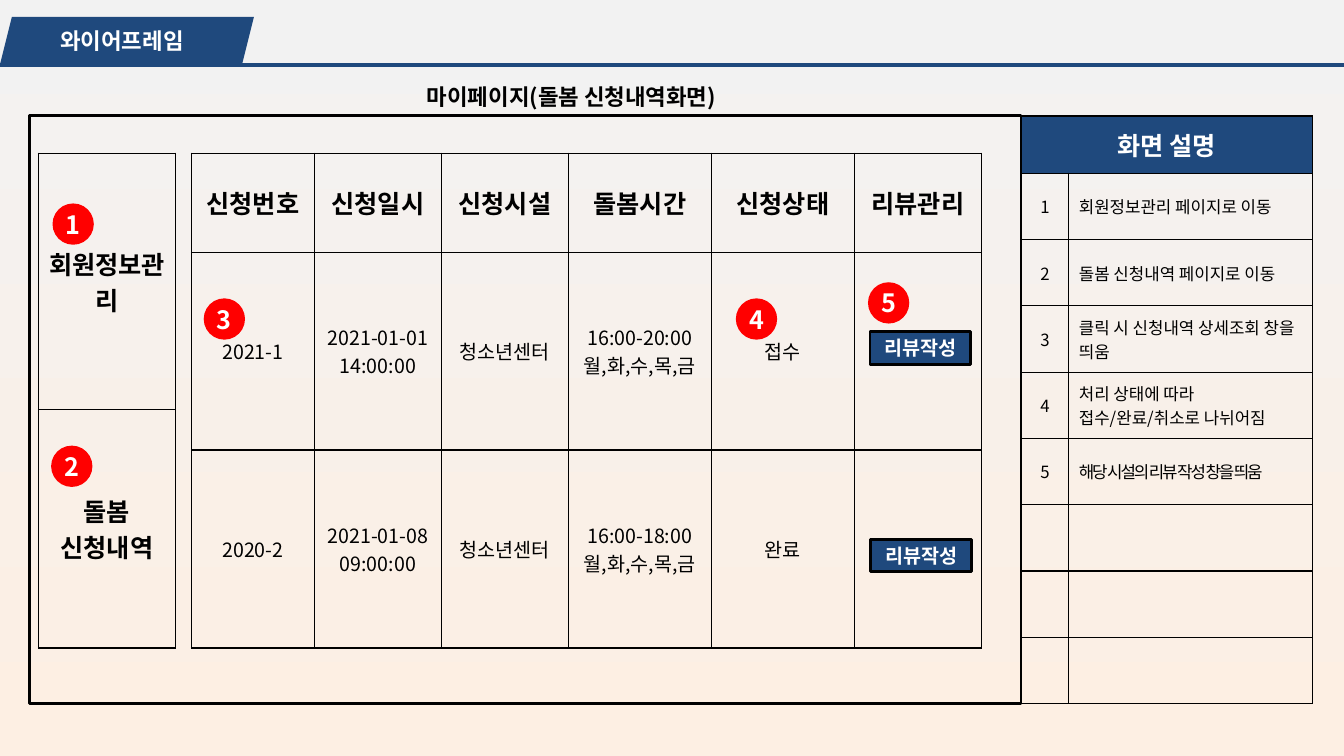
"""Build the wireframe slide for the care application history page."""
import pptx
import pptx.dml.color
import pptx.enum.shapes
import pptx.enum.text
import pptx.oxml.ns
import pptx.util
import lxml.etree

FONT = "Noto Sans CJK KR"
NAVY, RED, BLACK, WHITE = "1F497D", "FF0000", "000000", "FFFFFF"
Pt = pptx.util.Pt
qn = pptx.oxml.ns.qn
rgb = pptx.dml.color.RGBColor.from_string
Shape = pptx.enum.shapes.MSO_SHAPE
Align = pptx.enum.text.PP_ALIGN
MIDDLE = pptx.enum.text.MSO_ANCHOR.MIDDLE


def write_text(frame, text, size, color, bold, alignment=Align.CENTER, spacing=None):
    """Write one paragraph per line of text."""
    for index, line in enumerate(text.split("\n")):
        paragraph = frame.add_paragraph() if index else frame.paragraphs[0]
        paragraph.alignment = alignment
        run = paragraph.add_run()
        run.text = line
        run.font.size = Pt(size)
        run.font.bold = bold
        run.font.name = FONT
        run.font.color.rgb = rgb(color)
        properties = run.font._element
        lxml.etree.SubElement(properties, qn("a:ea")).set("typeface", FONT)
        if spacing:
            properties.set("spc", str(round(spacing * 100)))


def add_grid(left, top, column_widths, row_heights):
    """Add an unfilled table with thin black borders."""
    table = slide.shapes.add_table(
        len(row_heights), len(column_widths), Pt(left), Pt(top),
        Pt(sum(column_widths)), Pt(sum(row_heights))).table
    table.first_row = table.horz_banding = False
    for column, width in zip(table.columns, column_widths):
        column.width = Pt(width)
    for row, height in zip(table.rows, row_heights):
        row.height = Pt(height)
    for cell in table.iter_cells():
        cell.vertical_anchor = MIDDLE
        properties = cell._tc.get_or_add_tcPr()
        for side in ("a:lnL", "a:lnR", "a:lnT", "a:lnB"):
            border = lxml.etree.SubElement(properties, qn(side), w=str(Pt(1)))
            fill = lxml.etree.SubElement(border, qn("a:solidFill"))
            lxml.etree.SubElement(fill, qn("a:srgbClr"), val=BLACK)
        cell.fill.background()
    return table


presentation = pptx.Presentation()
presentation.slide_width = Pt(960)
presentation.slide_height = Pt(540)
slide = presentation.slides.add_slide(presentation.slide_layouts[6])

background = slide.background.fill
background.gradient()
background.gradient_angle = 270
for stop, color in zip(background.gradient_stops, ("F2F2F2", "FDEFE3")):
    stop.color.rgb = rgb(color)

header_line = slide.shapes.add_connector(
    pptx.enum.shapes.MSO_CONNECTOR.STRAIGHT, Pt(960), Pt(46.6), Pt(0), Pt(46.6))
header_line.line.color.rgb = rgb(NAVY)
header_line.line.width = Pt(3)
lxml.etree.SubElement(header_line._element.spPr, qn("a:effectLst"))

description = add_grid(729.4, 82.8, [34, 174], [41] + [47.35] * 8)
heading = description.cell(0, 0)
heading.merge(description.cell(0, 1))
heading.fill.solid()
heading.fill.fore_color.rgb = rgb(NAVY)
write_text(heading.text_frame, "화면 설명", 18, WHITE, True)
notes = [
    ("회원정보관리 페이지로 이동", None),
    ("돌봄 신청내역 페이지로 이동", None),
    ("클릭 시 신청내역 상세조회 창을 띄움", None),
    ("처리 상태에 따라 접수/완료/취소로 나뉘어짐", None),
    ("해당 시설의 리뷰 작성 창을 띄움", -1.5),
]
for number, (note, spacing) in enumerate(notes, 1):
    write_text(description.cell(number, 0).text_frame, str(number), 12, BLACK, False)
    write_text(description.cell(number, 1).text_frame, note, 12, BLACK, False,
               Align.LEFT, spacing)

menu = add_grid(27.4, 109.4, [98], [183, 170.5])
for row, label in enumerate(("회원정보관리", "돌봄 신청내역")):
    write_text(menu.cell(row, 0).text_frame, label, 18, BLACK, True)

history = add_grid(136.8, 109.4, [87.8, 90.7, 90.7, 102.2, 102.2, 90.7],
                   [70.7, 141.4, 141.4])
applications = [
    ["신청번호", "신청일시", "신청시설", "돌봄시간", "신청상태", "리뷰관리"],
    ["2021-1", "2021-01-01\n14:00:00", "청소년센터", "16:00-20:00\n월,화,수,목,금", "접수"],
    ["2020-2", "2021-01-08\n09:00:00", "청소년센터", "16:00-18:00\n월,화,수,목,금", "완료"],
]
for row, values in enumerate(applications):
    for column, value in enumerate(values):
        write_text(history.cell(row, column).text_frame, value,
                   14 if row else 18, BLACK, row == 0)

shapes = [
    (Shape.PARALLELOGRAM, 0, 12, 181.4, 34, NAVY, None, "", 0),
    (Shape.RECTANGLE, 20.9, 82.8, 708.5, 419.8, None, BLACK, "", 0),
]
for top, left in ((236.9, 621.4), (385.2, 622)):
    shapes.append((Shape.RECTANGLE, left, top, 72, 23.3, NAVY, BLACK, "리뷰작성", 14))
markers = [(37.5, 145.3), (36.5, 318.3), (145.5, 213.1), (525.6, 213.1), (620, 201.6)]
for number, (left, top) in enumerate(markers, 1):
    shapes.append((Shape.OVAL, left, top, 29.5, 29.5, RED, None, str(number), 18))

for kind, left, top, width, height, fill, line, text, size in shapes:
    shape = slide.shapes.add_shape(kind, Pt(left), Pt(top), Pt(width), Pt(height))
    shape.shadow.inherit = False
    if fill:
        shape.fill.solid()
        shape.fill.fore_color.rgb = rgb(fill)
    else:
        shape.fill.background()
    if line:
        shape.line.color.rgb = rgb(line)
        shape.line.width = Pt(2)
    else:
        shape.line.fill.background()
    if text:
        frame = shape.text_frame
        frame.margin_left = frame.margin_right = frame.margin_top = frame.margin_bottom = 0
        frame.word_wrap = False
        frame.vertical_anchor = MIDDLE
        write_text(frame, text, size, WHITE, True)

titles = [
    ("와이어프레임", -1.4, 9.4, 177.1, WHITE),
    ("마이페이지(돌봄 신청내역화면)", 290.9, 49, 234.7, BLACK),
]
for text, left, top, width, color in titles:
    frame = slide.shapes.add_textbox(Pt(left), Pt(top), Pt(width), Pt(39.6)).text_frame
    frame.word_wrap = True
    frame.vertical_anchor = MIDDLE
    write_text(frame, text, 16, color, True)

presentation.save("out.pptx")
